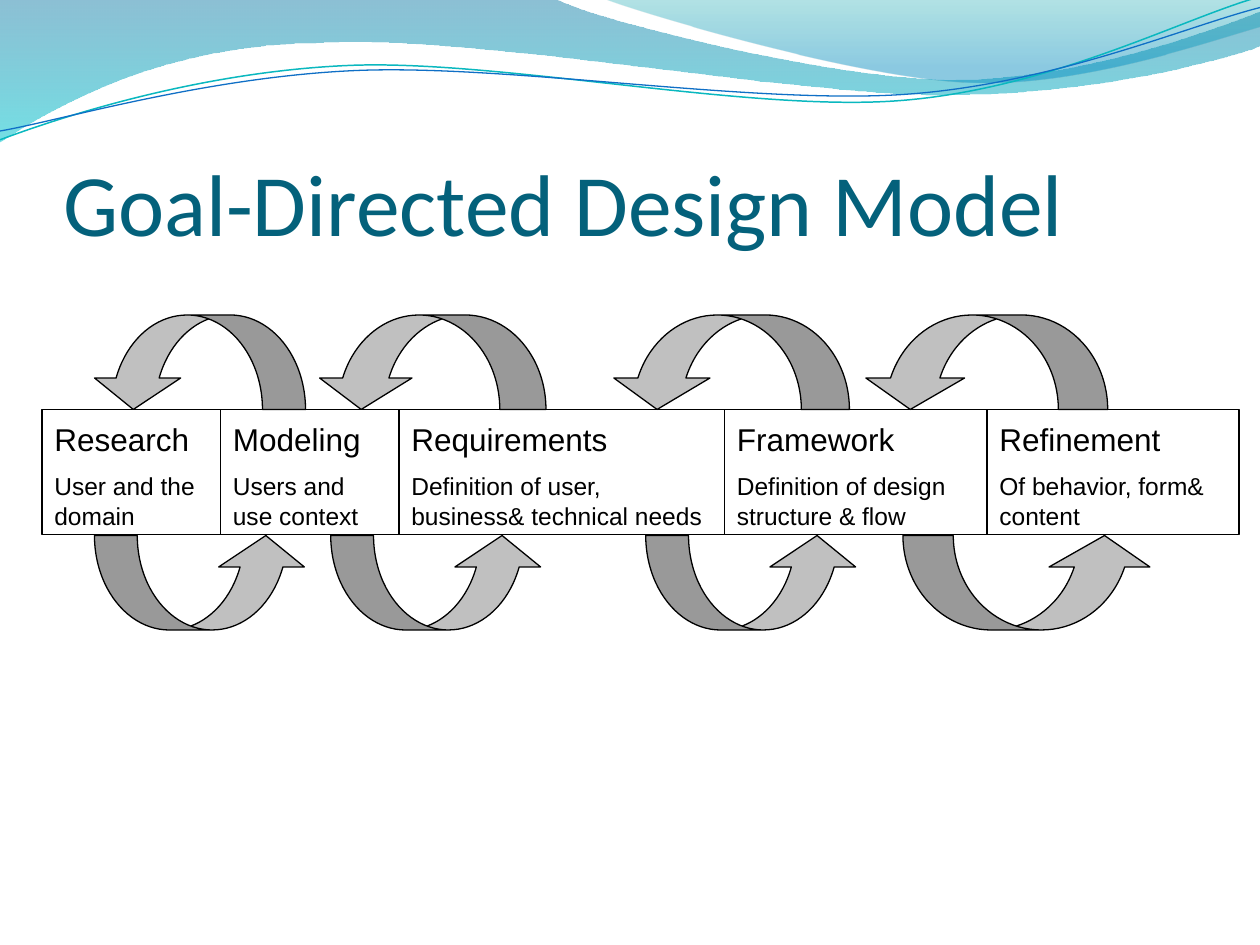
from lxml.etree import SubElement
from pptx import Presentation
from pptx.dml.color import RGBColor
from pptx.enum.shapes import MSO_SHAPE
from pptx.enum.text import MSO_ANCHOR, MSO_AUTO_SIZE, PP_ALIGN
from pptx.oxml.ns import qn
from pptx.util import Inches, Pt

COLORS = {
    "title": "04617B", "ink": "000000", "arrow": "C0C0C0",
    "band top": "0074A1", "band bottom": "00C6CF",
    "corner top": "00A1A9", "corner bottom": "008BBF",
    "teal line": "0AB8BF", "blue line": "0F6FC6",
}
COLUMNS, ROWS = 120, 90  # square grid cells over the slide
TENTH = 12               # grid cells in a tenth of the slide width

# Waves: points in tenths of the slide width; six numbers make a curve
BAND = [(0, -0.01), (4.4, -0.01), (4.76, 0.17, 6.64, 0.63, 7.58, 0.63),
        (8.53, 0.63, 9.58, 0.26, 10, 0.09), (10.01, 0.36),
        (9.83, 0.44, 8.7, 0.76, 7.46, 0.75), (6.22, 0.75, 3.82, 0.28, 2.57, 0.34),
        (1.29, 0.35, 0.46, 0.83, -0.01, 1.13)]
CORNER = [(4.79, -0.01), (5.09, 0.11, 6.82, 0.62, 7.69, 0.65),
          (8.56, 0.69, 9.61, 0.32, 10, 0.21), (10, 0)]
TEAL_LINE = [(0, 1.11), (0.48, 0.93, 1.58, 0.57, 2.77, 0.52),
             (3.95, 0.47, 5.93, 0.89, 7.13, 0.8), (8.33, 0.71, 9.38, 0.15, 9.98, -0.02)]
BLUE_LINE = [(0, 1.04), (0.47, 0.96, 1.64, 0.61, 2.83, 0.56),
             (4.03, 0.51, 5.97, 0.83, 7.17, 0.75), (8.36, 0.67, 9.41, 0.21, 10, 0.06)]

# Phases: heading, detail, width in columns
PHASES = [
    ("Research", "User and the domain", 17),
    ("Modeling", "Users and use context", 17),
    ("Requirements", "Definition of user, business& technical needs", 31),
    ("Framework", "Definition of design structure & flow", 25),
    ("Refinement", "Of behavior, form& content", 24),
]
# Arrows: left column, width in columns
FORWARD_ARROWS = [(9, 20.4), (31.5, 20.4), (61.5, 20.4), (86, 24)]
BACK_ARROWS = [(82, 23.5), (58, 22.9), (30, 22), (8.6, 20.5)]
FIRST_COLUMN, BOX_TOP, BOX_HEIGHT = 4, 39, 11.9
ARROW_HEIGHT, FORWARD_TOP = 9, 51


class SlideBuilder:
    def __init__(self, deck):
        self.cell_width = deck.slide_width / COLUMNS
        self.cell_height = deck.slide_height / ROWS
        self.slide = deck.slides.add_slide(deck.slide_layouts[5])
        self.shapes = self.slide.shapes

    def place(self, column, row, columns, rows):
        return (round(column * self.cell_width), round(row * self.cell_height),
                round(columns * self.cell_width), round(rows * self.cell_height))

    def color(self, name):
        return RGBColor.from_string(COLORS[name])

    def outline(self, shape, name="ink", width=0.75):
        shape.shadow.inherit = False
        shape.line.color.rgb = self.color(name)
        shape.line.width = Pt(width)

    def style_text(self, para, font, size, name):
        para.alignment = PP_ALIGN.LEFT
        for span in para.runs:
            span.font.name, span.font.size = font, Pt(size)
            span.font.color.rgb = self.color(name)

    def wave(self, points, closed):
        unit = TENTH * self.cell_width
        scaled = [[round(value * unit) for value in point] for point in points]
        ends = [point[-2:] for point in scaled]
        builder = self.shapes.build_freeform(*ends[0])
        builder.add_line_segments(ends[1:], close=closed)
        shape = builder.convert_to_shape()
        shape.shadow.inherit = False
        # Turn the straight segments with control points into curves
        segments = list(shape.element.iter(qn("a:lnTo")))
        for segment, point in zip(segments, scaled[1:]):
            if len(point) == 6:
                curve = segment.makeelement(qn("a:cubicBezTo"))
                for x, y in zip(point[::2], point[1::2]):
                    SubElement(curve, qn("a:pt"), x=str(x - shape.left), y=str(y - shape.top))
                segment.getparent().replace(segment, curve)
        return shape

    def gradient_wave(self, points, stops):
        shape = self.wave(points, closed=True)
        shape.line.fill.background()
        shape.fill.gradient()
        shape.fill.gradient_angle = 270
        for stop, (position, name, opacity) in zip(shape.fill.gradient_stops, stops):
            stop.position = position
            stop.color.rgb = self.color(name)
            color = stop.color._xFill[0] if hasattr(stop.color, "_xFill") else None
            if color is not None:
                SubElement(color, qn("a:alpha"), val=str(opacity * 1000))

    def line_wave(self, points, name, width):
        shape = self.wave(points, closed=False)
        shape.fill.background()
        self.outline(shape, name, width)

    def title(self, text, *area):
        title = self.shapes.title
        title.left, title.top, title.width, title.height = self.place(*area)
        frame = title.text_frame
        frame.text = text
        frame.auto_size = MSO_AUTO_SIZE.NONE
        frame.vertical_anchor = MSO_ANCHOR.BOTTOM
        frame.margin_left = frame.margin_right = frame.margin_bottom = 0
        self.style_text(frame.paragraphs[0], "Calibri", 50, "title")
        self.shapes._spTree.append(title.element)  # in front of the waves

    def phase(self, heading, detail, *area):
        box = self.shapes.add_shape(MSO_SHAPE.RECTANGLE, *self.place(*area))
        box.fill.background()
        self.outline(box)
        frame = box.text_frame
        frame.word_wrap = True
        frame.vertical_anchor = MSO_ANCHOR.TOP
        frame.margin_top = Inches(0.08)
        frame.text = f"{heading}\n{detail}"
        for para, size in zip(frame.paragraphs, (18, 14)):
            self.style_text(para, "Arial", size, "ink")
        frame.paragraphs[1].space_before = Pt(8)

    def arrow(self, column, row, columns, rows, back=False):
        arrow = self.shapes.add_shape(MSO_SHAPE.CURVED_UP_ARROW,
                                      *self.place(column, row, columns, rows))
        thickness = 0.2 * columns / rows
        for index, value in enumerate((thickness, 2 * thickness, 1 / 3)):
            arrow.adjustments[index] = value
        if back:
            for flip in ("flipH", "flipV"):
                arrow.element.spPr.xfrm.set(flip, "1")
        arrow.fill.solid()
        arrow.fill.fore_color.rgb = self.color("arrow")
        self.outline(arrow)


def main():
    deck = Presentation()
    deck.slide_width, deck.slide_height = Inches(10), Inches(7.5)
    page = SlideBuilder(deck)

    # Wave header
    page.gradient_wave(BAND, [(0, "band top", 45), (1, "band bottom", 55)])
    page.gradient_wave(CORNER, [(0, "corner top", 30), (0.8, "corner bottom", 45)])
    page.line_wave(TEAL_LINE, "teal line", 0.85)
    page.line_wave(BLUE_LINE, "blue line", 0.75)
    page.title("Goal-Directed Design Model", 6, 9.2, 108, 15)

    # Row of phases
    column = FIRST_COLUMN
    for heading, detail, width in PHASES:
        page.phase(heading, detail, column, BOX_TOP, width, BOX_HEIGHT)
        column += width

    # Arrows between the phases
    for left, width in FORWARD_ARROWS:
        page.arrow(left, FORWARD_TOP, width, ARROW_HEIGHT)
    for left, width in BACK_ARROWS:
        page.arrow(left, BOX_TOP - ARROW_HEIGHT, width, ARROW_HEIGHT, back=True)

    deck.save("out.pptx")


if __name__ == "__main__":
    main()
